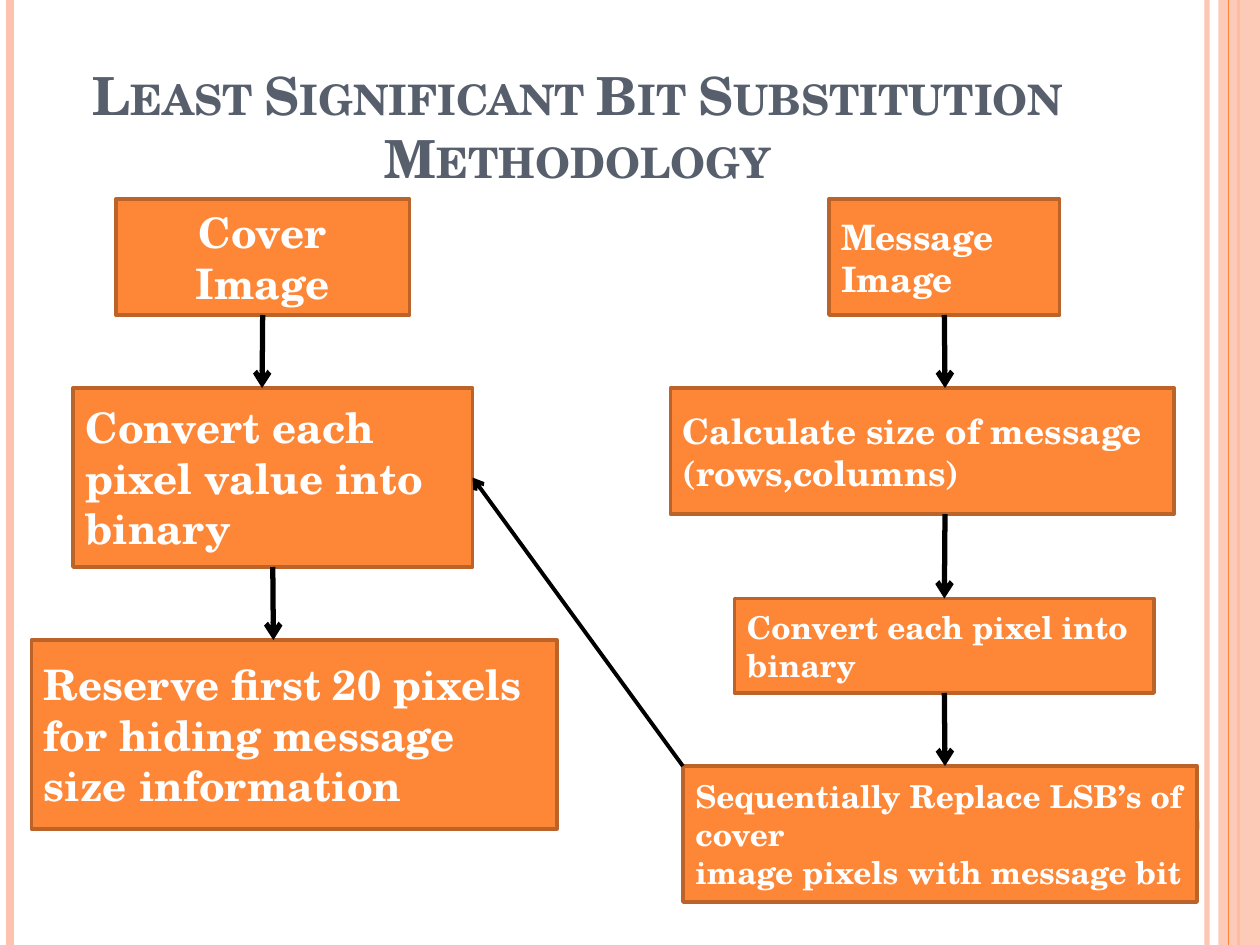
from lxml import etree
from pptx import Presentation
from pptx import util as u
from pptx.dml import color
from pptx.enum import shapes, text
from pptx.oxml import ns

Inches, Pt = u.Inches, u.Pt
FONT = "TeX Gyre Schola"
HUES = {"fill": "FE8637", "edge": "BC6329", "pale": "FEC3AE",
        "title": "575F6D", "text": "FFFFFF", "arrow": "000000"}
TOP, LEFT, BOTTOM, RIGHT = range(4)


def hue(name):
    return color.RGBColor.from_string(HUES[name])


def fade(part, pct):
    tint = next(part.iter(ns.qn("a:srgbClr")))
    etree.SubElement(tint, ns.qn("a:alpha")).set("val", str(pct * 1000))


def add_run(para, words, size, name):
    run = para.add_run()
    run.text = words
    font = run.font
    font.name, font.size, font.bold = FONT, Pt(size), True
    font.color.rgb = hue(name)
    return run


def add_line(slide, start, end, name, width):
    line = slide.shapes.add_connector(
        shapes.MSO_CONNECTOR.STRAIGHT, *map(Inches, start + end))
    line.line.color.rgb = hue(name)
    line.line.width = Pt(width)
    etree.SubElement(line._element.spPr, ns.qn("a:effectLst"))
    return line


def add_shape(slide, kind, box, name):
    shape = slide.shapes.add_shape(kind, *map(Inches, box))
    shape.shadow.inherit = False
    shape.fill.solid()
    shape.fill.fore_color.rgb = hue(name)
    shape.line.fill.background()
    return shape


def add_frame(slide, box):
    x, y, w, h = box

    def rule(at, name, width):
        return add_line(slide, (x + at, y), (x + at, y + h), name, width)

    fade(rule(w - 0.42, "pale", 3).line._ln, 93)
    rule(0.08, "pale", 4.5)
    rule(w - 0.17, "fill", 1.5)
    band = add_shape(slide, shapes.MSO_SHAPE.RECTANGLE,
                     (x + w - 0.33, y, 0.33, h), "pale")
    fade(band._element.spPr, 87)
    rule(w - 0.25, "fill", 0.75)
    add_shape(slide, shapes.MSO_SHAPE.OVAL,
              (x + w - 1.08, y + h - 1.25, 0.6, 0.6), "fill")


def add_title(slide, box, lines):
    frame = slide.shapes.add_textbox(*map(Inches, box)).text_frame
    frame.word_wrap = True
    frame.vertical_anchor = text.MSO_ANCHOR.BOTTOM
    para = frame.paragraphs[0]
    para.alignment = text.PP_ALIGN.CENTER
    for i, words in enumerate(lines):
        if i:
            para.add_line_break()
        run = add_run(para, words, 30, "title")
        run.font._element.set("cap", "small")


def add_step(slide, box, lines, size, align=text.PP_ALIGN.LEFT):
    step = add_shape(slide, shapes.MSO_SHAPE.RECTANGLE, box, "fill")
    step.line.color.rgb = hue("edge")
    step.line.width = Pt(2)
    frame = step.text_frame
    frame.word_wrap = True
    frame.vertical_anchor = text.MSO_ANCHOR.MIDDLE
    for i, words in enumerate(lines):
        para = frame.add_paragraph() if i else frame.paragraphs[0]
        para.alignment = align
        add_run(para, words, size, "text")
    return step


def add_arrow(slide, start, end, width=3, tail=None, head=None):
    line = add_line(slide, start, end, "arrow", width)
    etree.SubElement(line.line._ln, ns.qn("a:tailEnd")).set("type", "arrow")
    if tail:
        line.begin_connect(*tail)
    if head:
        line.end_connect(*head)


def add_cover(slide, box):
    x, y, w, h = box
    cover = add_step(slide, (x + 0.67, y, 2.33, 0.92), ["Cover Image"], 24,
                     text.PP_ALIGN.CENTER)
    pixel = add_step(slide, (x + 0.33, y + 1.5, 3.17, 1.42),
                     ["Convert each pixel value into binary"], 24)
    add_step(slide, (x, y + 3.5, w, h - 3.5),
             ["Reserve first 20 pixels for hiding message size information"],
             24)
    add_arrow(slide, (x + 1.83, y + 0.92), (x + 1.83, y + 1.5),
              tail=(cover, BOTTOM))
    add_arrow(slide, (x + 1.92, y + 2.92), (x + 1.92, y + 3.5),
              tail=(pixel, BOTTOM))
    return pixel


def add_message(slide, box):
    x, y, w, h = box
    mid = x + 2.18
    image = add_step(slide, (x + 1.26, y, 1.83, 0.92),
                     ["Message", "Image"], 20)
    add_step(slide, (x, y + 1.5, 4, 1),
             ["Calculate size of message (rows,columns)"], 20)
    pixel = add_step(slide, (x + 0.51, y + 3.17, 3.33, 0.75),
                     ["Convert each pixel into", "binary"], 18)
    add_step(slide, (x + 0.1, y + 4.5, w - 0.1, h - 4.5),
             ["Sequentially Replace LSB’s of cover",
              "image pixels with message bit"], 18)
    add_arrow(slide, (mid, y + 0.92), (mid, y + 1.5), tail=(image, BOTTOM))
    add_arrow(slide, (mid, y + 2.5), (mid, y + 3.17), head=(pixel, TOP))
    add_arrow(slide, (mid, y + 3.92), (mid, y + 4.5), tail=(pixel, BOTTOM))
    return x + 0.1, y + 4.5


def main():
    deck = Presentation()
    deck.slide_width, deck.slide_height = Inches(10), Inches(7.5)
    slide = deck.slides.add_slide(deck.slide_layouts[6])
    add_frame(slide, (0, 0, 10, 7.5))
    pixel = add_cover(slide, (0.25, 1.58, 4.17, 5))
    corner = add_message(slide, (5.32, 1.58, 4.18, 5.58))
    add_title(slide, (0.5, 0.3, 8.17, 1.25),
              ["Least Significant Bit Substitution", "Methodology"])
    add_arrow(slide, corner, (3.75, 3.79), 2.25, head=(pixel, RIGHT))
    deck.save("out.pptx")


if __name__ == "__main__":
    main()
